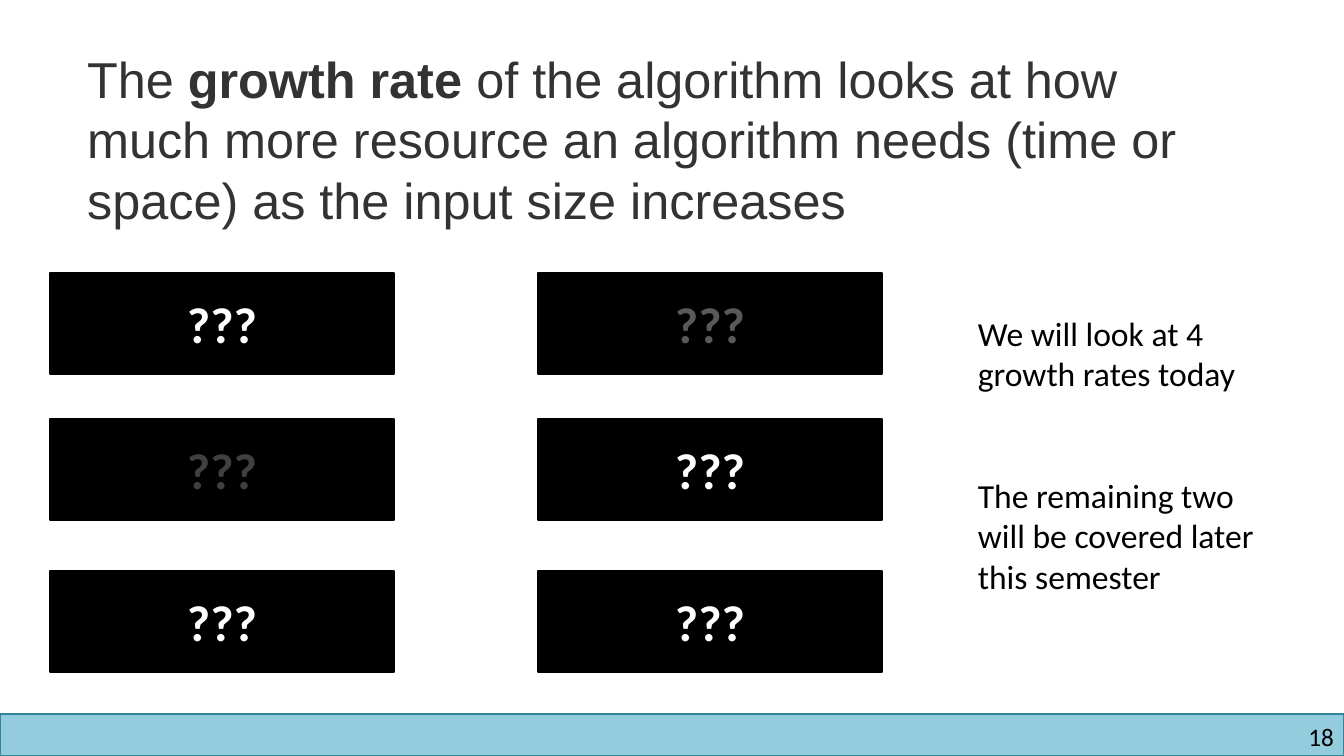
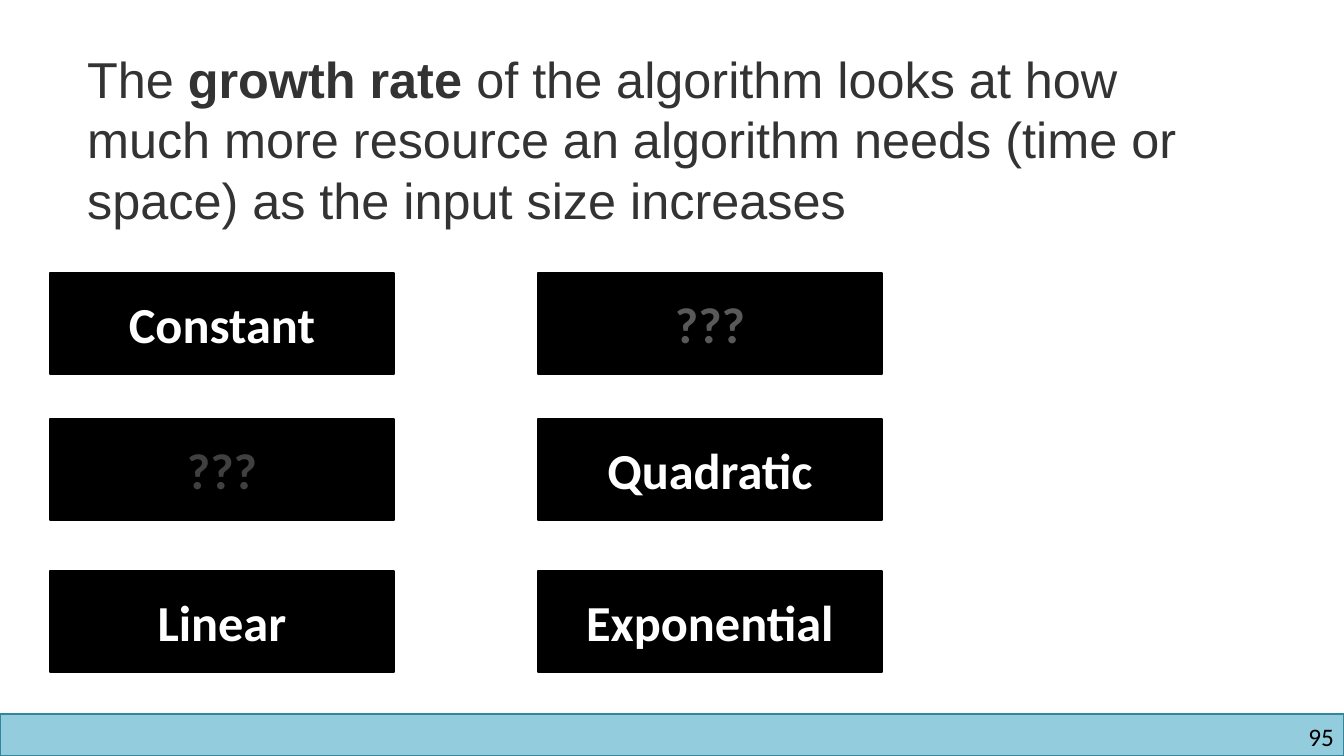
from pptx import Presentation
from pptx.dml.color import RGBColor
from pptx.enum.shapes import MSO_SHAPE
from pptx.enum.text import MSO_ANCHOR, MSO_AUTO_SIZE, PP_ALIGN
from pptx.util import Pt

LEFT, CENTER, RIGHT = PP_ALIGN.LEFT, PP_ALIGN.CENTER, PP_ALIGN.RIGHT
TOP, MIDDLE = MSO_ANCHOR.TOP, MSO_ANCHOR.MIDDLE
NO_AUTOFIT = MSO_AUTO_SIZE.NONE
RECTANGLE = MSO_SHAPE.RECTANGLE

EMU_PER_PX = 914400 / 100.8
WIDTH, HEIGHT = 1344, 756
TITLE_ONLY = 5

COLORS = {
    "title": "333333",
    "text": "000000",
    "card": "000000",
    "bright": "FFFFFF",
    "dim": "595959",
    "dark": "404040",
    "band": "93CDDD",
    "band_edge": "31859C",
}

HEADLINE = [
    ("The", False),
    (" growth rate ", True),
    ("of the algorithm looks at how much more resource an algorithm needs "
     "(time or space) as the input size increases", False),
]
CARD_COLUMNS, CARD_ROWS = (50, 538), (273, 419, 571)
CARD_SIZE = (344, 101)
CARD_TONES = [("bright", "dim"), ("dark", "bright"), ("bright", "bright")]
HIDDEN_RATES = [("???", "???")] * 3
REVEALED_RATES = [("Constant", "???"), ("???", "Quadratic"), ("Linear", "Exponential")]
OUTLOOK = [
    "We will look at 4 growth rates today",
    "The remaining two will be covered later this semester",
]


def px(*lengths):
    return [round(length * EMU_PER_PX) for length in lengths]


def rgb(name):
    return RGBColor.from_string(COLORS[name])


class Deck:
    """Holds the shared style and the slide being built."""

    def __init__(self):
        self.presentation = Presentation()
        self.presentation.slide_width, self.presentation.slide_height = px(WIDTH, HEIGHT)
        self.slide = None

    def add_slide(self, number):
        layout = self.presentation.slide_layouts[TITLE_ONLY]
        self.slide = self.presentation.slides.add_slide(layout)
        self.box(0, 714, WIDTH, 42, "band", "band_edge", 1)
        self.text([number], 1025, 721, 309, 30, size=18, align=RIGHT, margin=0)

    def run(self, paragraph, words, size, color, font="Calibri", bold=False):
        run = paragraph.add_run()
        run.text = words
        run.font.name, run.font.size, run.font.bold = font, Pt(size), bold
        run.font.color.rgb = rgb(color)

    def title(self, runs):
        title = self.slide.shapes.title
        title.left, title.top, title.width, title.height = px(77, 43, 1113, 193)
        frame = title.text_frame
        frame.word_wrap, frame.auto_size = True, NO_AUTOFIT
        frame.vertical_anchor = TOP
        paragraph = frame.paragraphs[0]
        paragraph.alignment, paragraph.line_spacing = LEFT, Pt(43.2)
        for words, bold in runs:
            self.run(paragraph, words, 36, "title", "Arial", bold)

    def box(self, left, top, width, height, fill, edge, edge_width):
        box = self.slide.shapes.add_shape(RECTANGLE, *px(left, top, width, height))
        box.shadow.inherit = False
        box.fill.solid()
        box.fill.fore_color.rgb = rgb(fill)
        box.line.color.rgb = rgb(edge)
        box.line.width = Pt(edge_width)
        return box

    def card(self, label, left, top, tone):
        frame = self.box(left, top, *CARD_SIZE, "card", "card", 2).text_frame
        frame.vertical_anchor = MIDDLE
        paragraph = frame.paragraphs[0]
        paragraph.alignment = CENTER
        self.run(paragraph, label, 36, tone, bold=True)

    def cards(self, labels):
        for top, row, tones in zip(CARD_ROWS, labels, CARD_TONES):
            for left, label, tone in zip(CARD_COLUMNS, row, tones):
                self.card(label, left, top, tone)

    def text(self, lines, left, top, width, height, size, align=LEFT, margin=None, gap=0):
        frame = self.slide.shapes.add_textbox(*px(left, top, width, height)).text_frame
        frame.word_wrap = True
        if margin is not None:
            frame.margin_left = frame.margin_right = margin
            frame.margin_top = frame.margin_bottom = margin
        for index, line in enumerate(lines):
            paragraph = frame.add_paragraph() if index else frame.paragraphs[0]
            paragraph.alignment = align
            if index:
                paragraph.space_before = Pt(gap)
            self.run(paragraph, line, size, "text")


def main():
    deck = Deck()
    for number, rates, remarks in (("18", HIDDEN_RATES, OUTLOOK), ("95", REVEALED_RATES, None)):
        deck.add_slide(number)
        deck.title(HEADLINE)
        deck.cards(rates)
        if remarks:
            deck.text(remarks, 968, 308, 302, 295, size=24, gap=58)
    deck.presentation.save("out.pptx")


if __name__ == "__main__":
    main()
